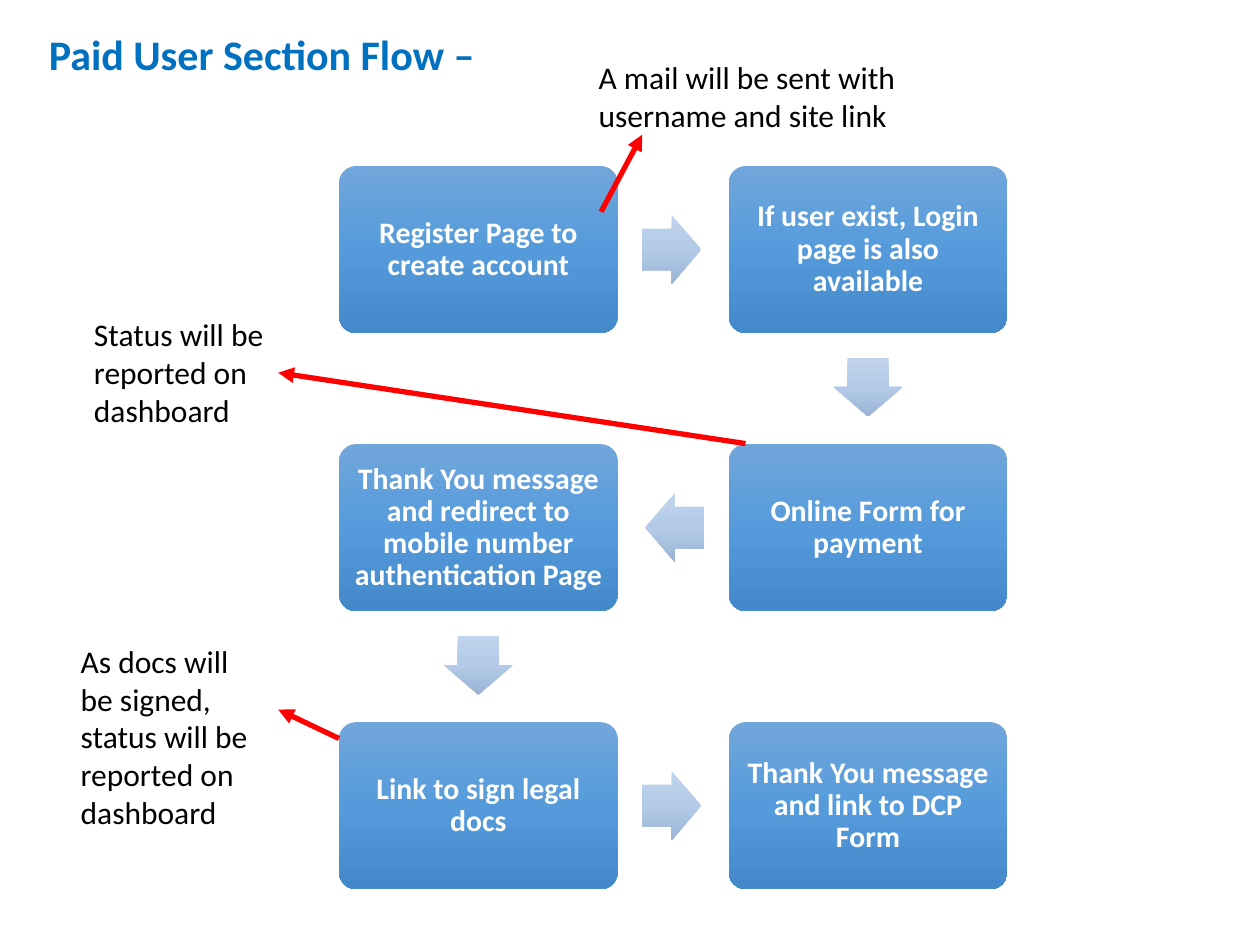
from copy import deepcopy
from pptx import Presentation
from pptx.dml.color import RGBColor
from pptx.enum.shapes import MSO_CONNECTOR, MSO_SHAPE
from pptx.enum.text import MSO_ANCHOR, PP_ALIGN
from pptx.oxml.ns import qn
from pptx.oxml.xmlchemy import OxmlElement
from pptx.util import Pt

# Steps in order: text, column, row
STEPS = [
    ("Register Page to create account", 0, 0),
    ("If user exist, Login page is also available", 1, 0),
    ("Online Form for payment", 1, 1),
    ("Thank You message and redirect to mobile number authentication Page", 0, 1),
    ("Link to sign legal docs", 0, 2),
    ("Thank You message and link to DCP Form", 1, 2),
]
# Labels: text, (left, top, width, height), style
LABELS = [
    ("Paid User Section Flow –", (20.8, 13, 456, 36), "title"),
    ("A mail will be sent with username and site link", (335, 29.5, 197, 51), "note"),
    ("Status will be reported on dashboard", (46.6, 176.5, 112, 73), "note"),
    ("As docs will be signed, status will be reported on dashboard",
     (39, 363.2, 112, 117), "note"),
]
# Pointers: start, end
LINKS = [
    ((343.5, 121), (367, 77)),
    ((426, 253.5), (159, 213)),
    ((193.7, 422), (159, 405.5)),
]

THEME = {
    "font": "Calibri",
    "title": {"size": Pt(24), "bold": True, "color": "0070C0"},
    "note": {"size": Pt(18), "bold": False, "color": "000000"},
    "step": {"size": Pt(17), "bold": True, "color": "FFFFFF"},
    "box": ("71A6DB", "559BDB", "448ACA"),
    "arrow": ("C0D3EB", "B3CBE9", "9BB4D3"),
    "link": "FF0000",
}

LEFT, TOP = 193.8, 94.9
BOX_W, BOX_H = 159.1, 95.4
STEP_X, STEP_Y = 222.7, 158.9
INSET = 5
ARROW_L, ARROW_W = 33.7, 39.4
NUDGE = 0.9
ARROWS = {
    (1, 0): MSO_SHAPE.RIGHT_ARROW,
    (-1, 0): MSO_SHAPE.LEFT_ARROW,
    (0, 1): MSO_SHAPE.DOWN_ARROW,
}


def apply(item, values):
    """Set attributes of item from a dict."""
    for name, value in values.items():
        setattr(item, name, value)


def write(frame, text, style, **para):
    """Put one styled paragraph into a text frame."""
    frame.word_wrap = True
    line = frame.paragraphs[0]
    apply(line, para)
    run = line.add_run()
    run.text = text
    look = dict(THEME[style])
    run.font.color.rgb = RGBColor.from_string(look.pop("color"))
    apply(run.font, {"name": THEME["font"], **look})


def add_form(slide, kind, rect, colors):
    """Add a preset shape with a vertical three-stop gradient."""
    form = slide.shapes.add_shape(kind, *map(Pt, rect))
    form.shadow.inherit = False
    form.line.fill.background()
    form.fill.gradient()
    form.fill.gradient_angle = 270
    stops = form._element.spPr.find(".//" + qn("a:gsLst"))
    stops.append(deepcopy(stops[-1]))
    for i, stop in enumerate(form.fill.gradient_stops):
        stop.position = i / 2
        stop.color.rgb = RGBColor.from_string(colors[i])
    return form


def add_step(slide, text, col, row):
    """Add one step box on the grid."""
    rect = (LEFT + col * STEP_X, TOP + row * STEP_Y, BOX_W, BOX_H)
    box = add_form(slide, MSO_SHAPE.ROUNDED_RECTANGLE, rect, THEME["box"])
    box.adjustments[0] = 0.1
    sides = ("left", "right", "top", "bottom")
    apply(box.text_frame, {"margin_" + side: Pt(INSET) for side in sides})
    box.text_frame.vertical_anchor = MSO_ANCHOR.MIDDLE
    write(box.text_frame, text, "step", alignment=PP_ALIGN.CENTER, line_spacing=0.9)


def add_arrow(slide, start, end):
    """Add a block arrow in the gap between two neighbouring steps."""
    (_, col, row), (_, col2, row2) = start, end
    way = (col2 - col, row2 - row)
    mid_x = LEFT + BOX_W / 2 + (col + col2) / 2 * STEP_X - way[0] * NUDGE
    mid_y = TOP + BOX_H / 2 + (row + row2) / 2 * STEP_Y - way[1] * NUDGE
    wide, high = (ARROW_L, ARROW_W) if way[0] else (ARROW_W, ARROW_L)
    rect = (mid_x - wide / 2, mid_y - high / 2, wide, high)
    arrow = add_form(slide, ARROWS[way], rect, THEME["arrow"])
    arrow.adjustments[0] = 0.6
    arrow.adjustments[1] = 0.5


def add_link(slide, start, end):
    """Add a red pointer with a triangle at its end."""
    link = slide.shapes.add_connector(MSO_CONNECTOR.STRAIGHT, *map(Pt, start + end))
    link.line.width = Pt(3)
    link.line.color.rgb = RGBColor.from_string(THEME["link"])
    tail = OxmlElement("a:tailEnd")
    tail.set("type", "triangle")
    link.line._get_or_add_ln().append(tail)
    link._element.spPr.append(OxmlElement("a:effectLst"))


def main():
    """Build the slide and save it."""
    deck = Presentation()
    apply(deck, {"slide_width": Pt(720), "slide_height": Pt(540)})
    slide = deck.slides.add_slide(deck.slide_layouts[6])
    for step in STEPS:
        add_step(slide, *step)
    for start, end in zip(STEPS, STEPS[1:]):
        add_arrow(slide, start, end)
    for link in LINKS:
        add_link(slide, *link)
    for text, rect, style in LABELS:
        label = slide.shapes.add_textbox(*map(Pt, rect))
        write(label.text_frame, text, style)
    deck.save("out.pptx")


main()
